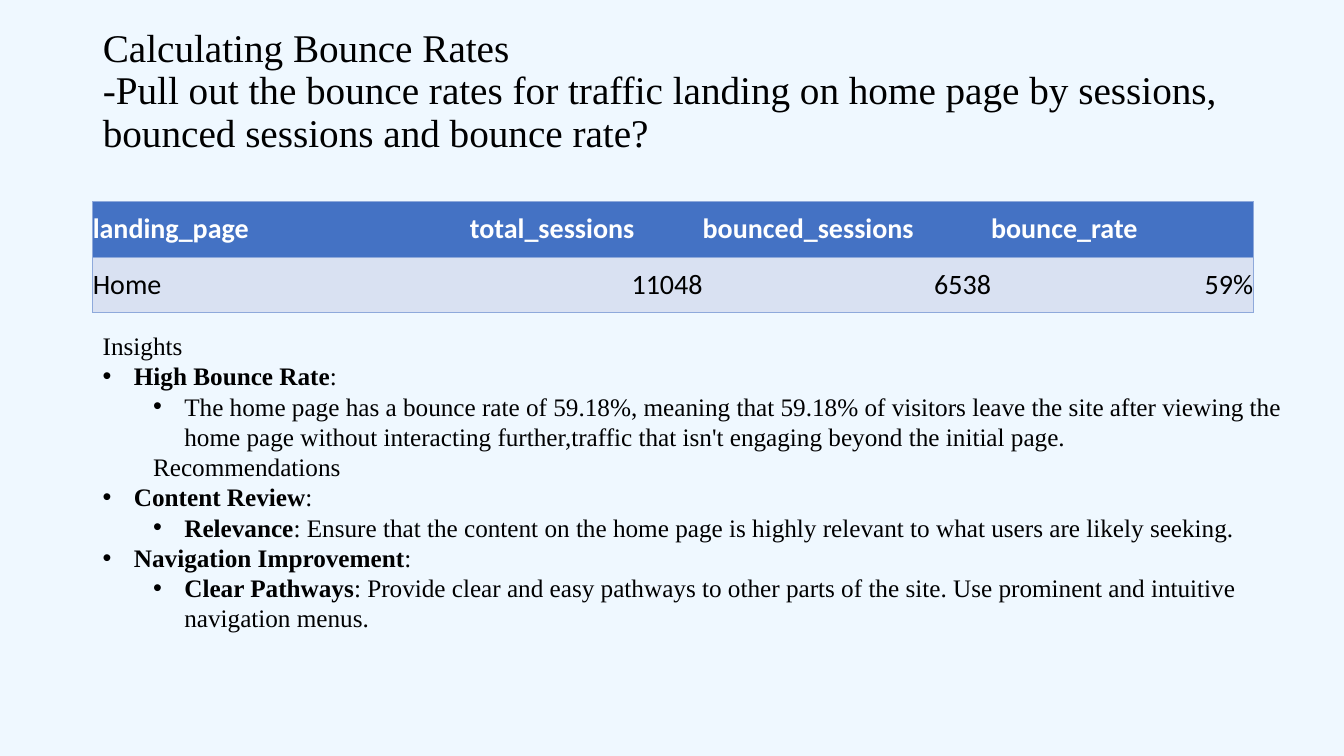
from lxml import etree
from pptx import Presentation
from pptx.dml.color import RGBColor
from pptx.enum.text import MSO_ANCHOR, MSO_AUTO_SIZE, PP_ALIGN
from pptx.oxml.ns import qn
from pptx.util import Inches, Pt

MIDDLE, TOP = MSO_ANCHOR.MIDDLE, MSO_ANCHOR.TOP
LEFT, RIGHT = PP_ALIGN.LEFT, PP_ALIGN.RIGHT
NO_FIT = MSO_AUTO_SIZE.NONE
PLAIN_TABLE = "{2D5ABB26-0587-4C30-8999-92F81FD0307C}"

COLORS = {
    "background": "EFF8FF",
    "text": "000000",
    "header": "4472C4",
    "header_text": "FFFFFF",
    "row": "D9E1F2",
    "border": "8EA9DB",
}
MARGIN, CONTENT_W = 0.92, 11.5
ROW_H = 0.55
COLUMN_WIDTHS = [3.74, 2.31, 2.86, 2.6]
SERIF, SANS = "Times New Roman", "Calibri"
BULLET_HANG, LEVEL_STEP = 0.31, 0.5

TITLE = [
    "Calculating Bounce Rates",
    "-Pull out the bounce rates for traffic landing on home page by sessions, "
    "bounced sessions and bounce rate?",
]
BOUNCE_TABLE = [
    ["landing_page", "total_sessions", "bounced_sessions", "bounce_rate"],
    ["Home", "11048", "6538", "59%"],
]
# Each entry: level, bulleted, bold lead, plain remainder
FINDINGS = [
    (0, False, "", "Insights"),
    (0, True, "High Bounce Rate", ":"),
    (1, True, "", "The home page has a bounce rate of 59.18%, meaning that 59.18% of "
     "visitors leave the site after viewing the home page without interacting "
     "further,traffic that isn't engaging beyond the initial page."),
    (1, False, "", "Recommendations"),
    (0, True, "Content Review", ":"),
    (1, True, "Relevance", ": Ensure that the content on the home page is highly "
     "relevant to what users are likely seeking."),
    (0, True, "Navigation Improvement", ":"),
    (1, True, "Clear Pathways", ": Provide clear and easy pathways to other parts of "
     "the site. Use prominent and intuitive navigation menus."),
]


def apply(obj, **values):
    """Set each given attribute on an object."""
    for name, value in values.items():
        setattr(obj, name, value)


def add_run(p, text, size, font=SERIF, color="text", bold=False):
    """Append a formatted run to a paragraph."""
    r = p.add_run()
    r.text = text
    apply(r.font, name=font, size=Pt(size), bold=bold)
    r.font.color.rgb = RGBColor.from_string(COLORS[color])


def paragraphs(tf, count):
    """Return the first paragraph of a frame followed by new ones."""
    return [tf.paragraphs[0]] + [tf.add_paragraph() for _ in range(count - 1)]


def set_indent(p, level, bulleted):
    """Indent a paragraph by its level and give it a bullet if asked."""
    hang = BULLET_HANG if bulleted else 0
    pPr = p._p.get_or_add_pPr()
    pPr.set("marL", str(Inches(level * LEVEL_STEP + hang)))
    pPr.set("indent", str(Inches(-hang)))
    if bulleted:
        etree.SubElement(pPr, qn("a:buFont")).set("typeface", "Arial")
        etree.SubElement(pPr, qn("a:buChar")).set("char", "•")
    else:
        etree.SubElement(pPr, qn("a:buNone"))
    p.level = level


def add_title(s):
    """Place and fill the title placeholder."""
    sp = s.shapes.title
    apply(sp, left=Inches(MARGIN), top=Inches(0.4),
          width=Inches(CONTENT_W), height=Inches(1.45))
    tf = sp.text_frame
    apply(tf, word_wrap=True, auto_size=NO_FIT, vertical_anchor=MIDDLE,
          margin_bottom=Inches(0.47))
    for p, text in zip(paragraphs(tf, len(TITLE)), TITLE):
        apply(p, alignment=LEFT, line_spacing=0.9, space_before=Pt(0))
        add_run(p, text, 28)


def add_borders(cell, sides):
    """Draw thin lines on the given sides of a cell."""
    tcPr = cell._tc.get_or_add_tcPr()
    for side in sides:
        ln = etree.SubElement(tcPr, qn(f"a:ln{side}"), w=str(Pt(0.5)))
        fill = etree.SubElement(ln, qn("a:solidFill"))
        etree.SubElement(fill, qn("a:srgbClr"), val=COLORS["border"])


def fill_cell(cell, text, header, sides, alignment):
    """Write and format one table cell."""
    apply(cell, vertical_anchor=MIDDLE, margin_left=0, margin_right=0,
          margin_top=0, margin_bottom=0)
    add_borders(cell, sides)
    cell.fill.solid()
    cell.fill.fore_color.rgb = RGBColor.from_string(COLORS["header" if header else "row"])
    p = cell.text_frame.paragraphs[0]
    p.alignment = alignment
    add_run(p, text, 20, SANS, "header_text" if header else "text", header)


def add_bounce_table(s):
    """Add the table of sessions and bounce rate."""
    rows, cols = len(BOUNCE_TABLE), len(COLUMN_WIDTHS)
    table = s.shapes.add_table(rows, cols, Inches(MARGIN), Inches(2),
                               Inches(CONTENT_W), Inches(rows * ROW_H)).table
    apply(table, first_row=True, horz_banding=False)
    table._tbl.tblPr.find(qn("a:tableStyleId")).text = PLAIN_TABLE
    for column, width in zip(table.columns, COLUMN_WIDTHS):
        column.width = Inches(width)
    for i, values in enumerate(BOUNCE_TABLE):
        table.rows[i].height = Inches(ROW_H)
        for j, text in enumerate(values):
            sides = "L" * (j == 0) + "R" * (j == cols - 1) + "TB"
            fill_cell(table.cell(i, j), text, i == 0, sides, RIGHT if i and j else LEFT)


def add_findings(s):
    """Add the insights and recommendations."""
    sp = s.shapes.add_textbox(Inches(MARGIN), Inches(3.23), Inches(11.99), Inches(3.74))
    tf = sp.text_frame
    apply(tf, word_wrap=True, auto_size=NO_FIT, vertical_anchor=TOP)
    for p, (level, bulleted, lead, rest) in zip(paragraphs(tf, len(FINDINGS)), FINDINGS):
        set_indent(p, level, bulleted)
        if lead:
            add_run(p, lead, 18, bold=True)
        add_run(p, rest, 18)


def main():
    """Build and save the slide."""
    prs = Presentation()
    apply(prs, slide_width=Inches(13.33), slide_height=Inches(7.5))
    s = prs.slides.add_slide(prs.slide_layouts[5])
    s.background.fill.solid()
    s.background.fill.fore_color.rgb = RGBColor.from_string(COLORS["background"])
    add_title(s)
    add_bounce_table(s)
    add_findings(s)
    prs.save("out.pptx")


if __name__ == "__main__":
    main()
